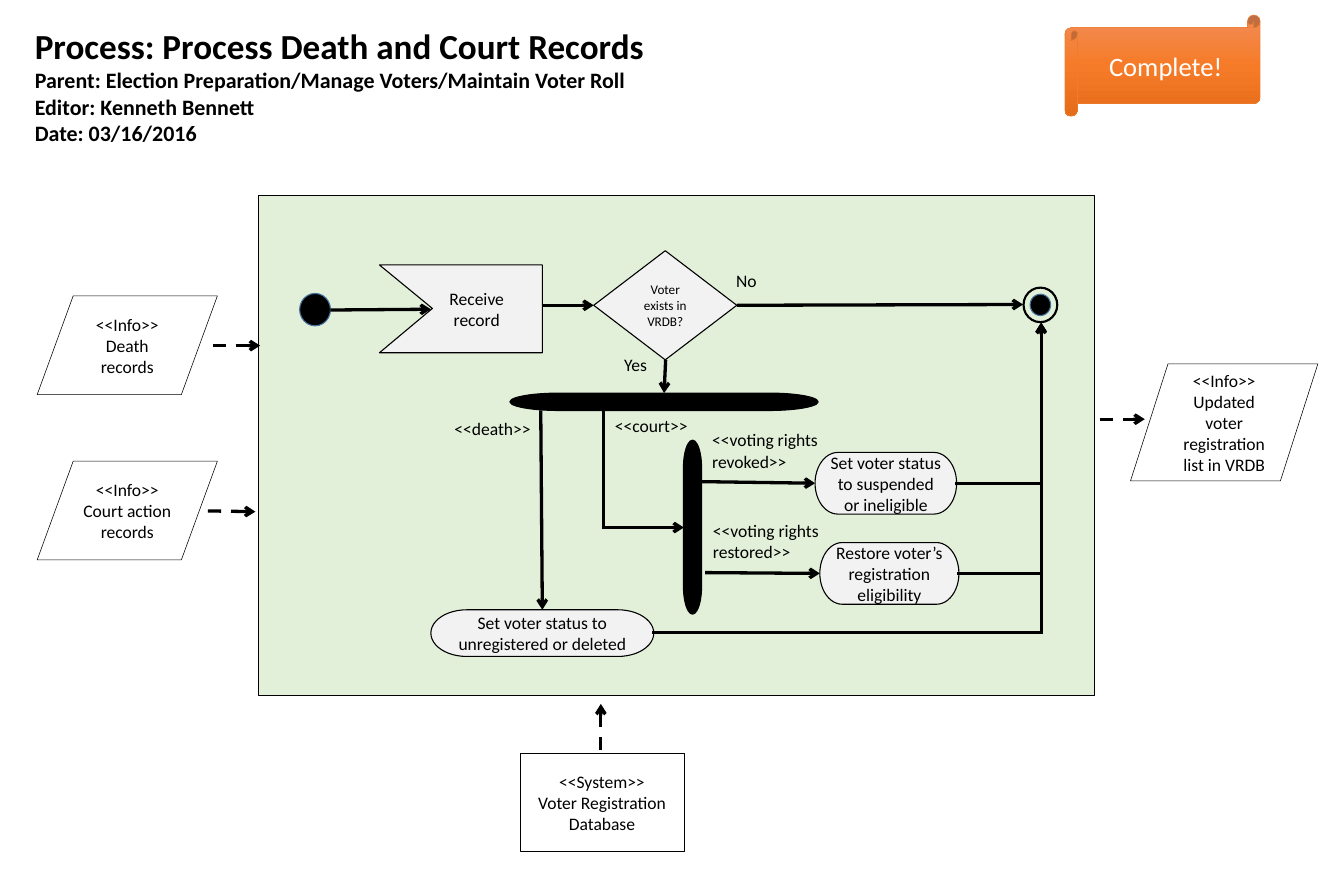
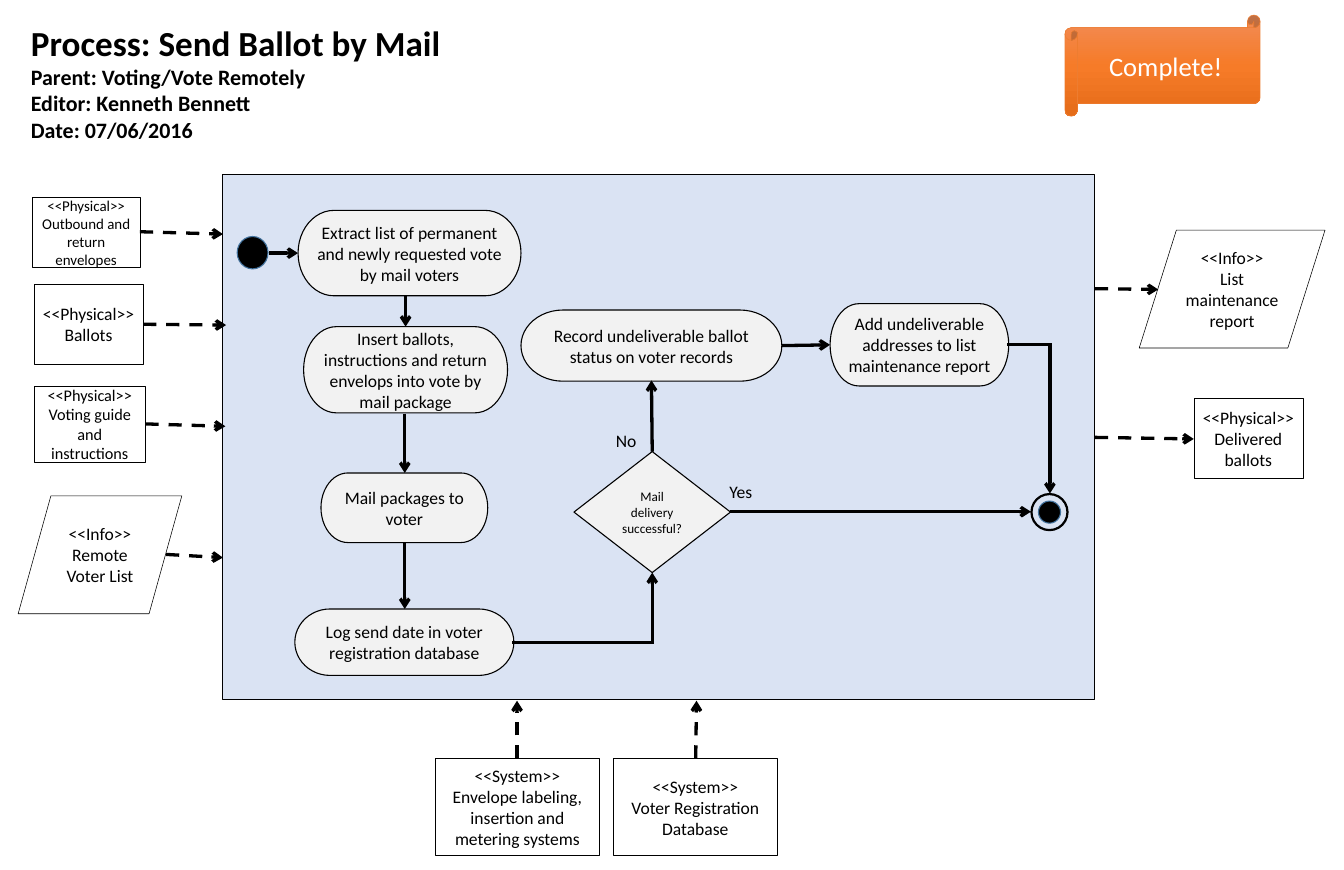
from copy import deepcopy
from dataclasses import dataclass

from lxml.etree import SubElement
from pptx import Presentation
from pptx.dml.color import RGBColor
from pptx.enum.dml import MSO_LINE
from pptx.enum.shapes import MSO_CONNECTOR, MSO_SHAPE
from pptx.enum.text import MSO_ANCHOR, MSO_AUTO_SIZE, PP_ALIGN
from pptx.oxml.ns import qn
from pptx.util import Emu, Pt

PX = 9144  # EMU in one px, 100 px to the inch


@dataclass(frozen=True)
class Theme:
    font: str = "Calibri"
    ink: str = "000000"
    white: str = "FFFFFF"
    step: str = "F2F2F2"
    rim: str = "43739E"
    green: str = "E2F0D9"
    blue: str = "DAE3F3"
    flame: str = "ED7D31"
    fade: tuple = ((0, "F18C57"), (0.5, "F67B28"), (1, "E56C19"))
    head: float = 32
    sub: float = 20
    badge: float = 24.2
    body: float = 16
    small: float = 12
    hair: float = 0.5
    thin: float = 1
    thick: float = 3


T = Theme()

# ---- Content: boxes are (kind, left, top, width, height, text, size) ----
BADGE = ("badge", 1347, 19, 247, 128, "Complete!")

COURT = {
    "title": (34, 26, 966, 165),
    "lines": ["Process: Process Death and Court Records",
              "Parent: Election Preparation/Manage Voters/Maintain Voter Roll",
              "Editor: Kenneth Bennett", "Date: 03/16/2016"],
    "panel": (327, 247, 1057, 632, T.green),
    "boxes": [
        ("info", 47, 374, 228, 125, "<<Info>>\nDeath records"),
        ("info", 47, 583, 228, 125, "<<Info>>\nCourt action records"),
        ("info", 1430, 460, 237, 148,
         "<<Info>>\nUpdated voter registration list in VRDB"),
        ("system", 658, 953, 207, 123,
         "<<System>>\nVoter Registration Database"),
        ("start", 379, 371, 39, 41, ""),
        ("choice", 751, 317, 181, 138, "Voter exists in VRDB?"),
        ("bar", 645, 497, 390, 22, ""),
        ("post", 766, 655, 220, 23, ""),
        ("step", 545, 771, 282, 59,
         "Set voter status to unregistered or deleted"),
        ("step", 1031, 572, 179, 78,
         "Set voter status to suspended or ineligible"),
        ("step", 1037, 686, 176, 78,
         "Restore voter’s registration eligibility"),
    ],
    "signal": (480, 335, 206, 111, 67, "Receive\nrecord"),
    "end": (1294, 363, 44, 45),
    "labels": [
        (770, 442, 68, 37, "Yes", PP_ALIGN.CENTER),
        (910, 337, 68, 37, "No", PP_ALIGN.CENTER),
        (565, 523, 118, 37, "<<death>>", PP_ALIGN.LEFT),
        (768, 520, 118, 37, "<<court>>", PP_ALIGN.LEFT),
        (891, 538, 199, 64, "<<voting rights revoked>>", PP_ALIGN.LEFT),
        (892, 652, 199, 64, "<<voting rights restored>>", PP_ALIGN.LEFT),
    ],
    "flows": [
        [(418, 392), (545, 391)],
        [(686, 386), (751, 386)],
        [(842, 455), (840, 497)],
        [(932, 386), (1294, 385)],
        [(684, 519), (686, 771)],
        [(763, 519), (763, 667), (865, 667)],
        [(888, 609), (1031, 611)],
        [(892, 724), (1037, 725)],
        [(1210, 611), (1317, 611), (1317, 408)],
        [(1213, 725), (1317, 725), (1317, 408)],
        [(827, 800), (1317, 800), (1317, 408)],
    ],
    "links": [
        [(269, 437), (329, 437)],
        [(263, 646), (323, 647)],
        [(1391, 530), (1448, 530)],
        [(760, 948), (760, 890)],
    ],
}

BALLOT = {
    "title": (29, 22, 1300, 165),
    "lines": ["Process: Send Ballot by Mail", "Parent: Voting/Vote Remotely",
              "Editor: Kenneth Bennett", "Date: 07/06/2016"],
    "panel": (282, 221, 1103, 663, T.blue),
    "boxes": [
        ("system", 41, 249, 136, 89,
         "<<Physical>>\nOutbound and return envelopes", 13.6),
        ("system", 43, 359, 138, 102, "<<Physical>>\nBallots"),
        ("system", 43, 488, 141, 96,
         "<<Physical>>\nVoting guide and instructions", 14.8),
        ("info", 23, 627, 207, 149, "<<Info>>\nRemote Voter List"),
        ("info", 1441, 291, 235, 149, "<<Info>>\nList maintenance report"),
        ("system", 1510, 503, 138, 102, "<<Physical>>\nDelivered ballots"),
        ("system", 551, 959, 207, 123,
         "<<System>>\nEnvelope labeling, insertion and metering systems"),
        ("system", 776, 959, 207, 123,
         "<<System>>\nVoter Registration Database"),
        ("start", 300, 299, 39, 41, ""),
        ("step", 377, 266, 282, 108,
         "Extract list of permanent and newly requested vote by mail voters"),
        ("step", 384, 413, 258, 109,
         "Insert ballots, instructions and return envelops into vote by "
         "mail package"),
        ("step", 406, 598, 211, 88, "Mail packages to voter"),
        ("step", 373, 770, 277, 84,
         "Log send date in voter registration database"),
        ("choice", 726, 571, 198, 153, "Mail delivery successful?"),
        ("step", 659, 392, 330, 90,
         "Record undeliverable ballot status on voter records"),
        ("step", 1050, 384, 226, 104,
         "Add undeliverable addresses to list maintenance report"),
    ],
    "signal": None,
    "end": (1304, 624, 47, 47),
    "labels": [
        (903, 603, 68, 37, "Yes", PP_ALIGN.CENTER),
        (758, 539, 68, 37, "No", PP_ALIGN.CENTER),
    ],
    "flows": [
        [(340, 320), (377, 320)],
        [(513, 374), (513, 413)],
        [(512, 523), (512, 598)],
        [(512, 686), (512, 770)],
        [(650, 812), (825, 812), (825, 724)],
        [(825, 571), (824, 481)],
        [(989, 437), (1050, 436)],
        [(1276, 436), (1328, 436), (1328, 624)],
        [(924, 647), (1304, 647)],
    ],
    "links": [
        [(177, 293), (282, 296)],
        [(181, 410), (286, 411)],
        [(184, 536), (285, 539)],
        [(210, 701), (282, 705)],
        [(1385, 365), (1465, 366)],
        [(1385, 553), (1510, 555)],
        [(654, 959), (654, 886)],
        [(880, 959), (881, 886)],
    ],
}

# Kind: preset, fill, line colour, line width, type size, type colour
KINDS = {
    "info": (MSO_SHAPE.FLOWCHART_DATA, None, T.ink, T.hair, T.body, T.ink),
    "system": (MSO_SHAPE.FLOWCHART_PROCESS, None, T.ink, T.hair, T.body, T.ink),
    "start": (MSO_SHAPE.FLOWCHART_CONNECTOR, T.ink, T.rim, T.thin, T.body, T.ink),
    "ring": (MSO_SHAPE.DONUT, T.ink, T.ink, T.thin, T.body, T.ink),
    "choice": (MSO_SHAPE.FLOWCHART_DECISION, T.step, T.ink, T.thin, T.small, T.ink),
    "step": (MSO_SHAPE.FLOWCHART_TERMINATOR, T.step, T.ink, T.thin, T.body, T.ink),
    "bar": (MSO_SHAPE.FLOWCHART_TERMINATOR, T.ink, T.ink, T.thin, T.body, T.ink),
    "post": (MSO_SHAPE.FLOWCHART_TERMINATOR, T.ink, T.ink, T.thin, T.body, T.ink),
    "badge": (MSO_SHAPE.HORIZONTAL_SCROLL, T.flame, T.flame, T.hair, T.badge, T.white),
}


# ---- Helpers ----
def px(*nums):
    return [Emu(round(n * PX)) for n in nums]


def rgb(code):
    return RGBColor.from_string(code)


def write(frame, lines, sizes, color=T.ink, align=PP_ALIGN.CENTER,
          anchor=MSO_ANCHOR.MIDDLE, bold=False):
    frame.word_wrap = True
    frame.auto_size = MSO_AUTO_SIZE.NONE
    frame.vertical_anchor = anchor
    for i, (line, size) in enumerate(zip(lines, sizes)):
        para = frame.add_paragraph() if i else frame.paragraphs[0]
        para.alignment = align
        run = para.add_run()
        run.text = line
        font = run.font
        font.name, font.size, font.bold = T.font, Pt(size), bold
        font.color.rgb = rgb(color)


def paint(shape, fill, line, width):
    shape.shadow.inherit = False
    if fill:
        shape.fill.solid()
        shape.fill.fore_color.rgb = rgb(fill)
    else:
        shape.fill.background()
    shape.line.color.rgb = rgb(line)
    shape.line.width = Pt(width)


def add_box(shapes, kind, x, y, w, h, text="", size=None):
    preset, fill, line, width, base, color = KINDS[kind]
    shape = shapes.add_shape(preset, *px(x, y, w, h))
    paint(shape, fill, line, width)
    if text:
        lines = text.split("\n")
        write(shape.text_frame, lines, [size or base] * len(lines), color)
    if kind == "post":
        shape.rotation = 270
    return shape


def add_badge(shapes):
    shape = add_box(shapes, *BADGE)
    fill = shape.fill
    fill.gradient()
    fill.gradient_angle = 270
    stops = shape._element.spPr.find(".//" + qn("a:gsLst"))
    stops.insert(1, deepcopy(stops[0]))
    for stop, (place, color) in zip(fill.gradient_stops, T.fade):
        stop.position = place
        stop.color.rgb = rgb(color)


def add_signal(shapes, x, y, w, h, notch, text):
    pen = shapes.build_freeform(x, y, scale=float(PX))
    pen.add_line_segments([(x + w, y), (x + w, y + h), (x, y + h),
                           (x + notch, y + h // 2)], close=True)
    shape = pen.convert_to_shape()
    paint(shape, T.step, T.ink, T.thin)
    shape.text_frame.margin_left = px(50)[0]
    lines = text.split("\n")
    write(shape.text_frame, lines, [T.body] * len(lines))


def add_end(shapes, x, y, w, h):
    group = shapes.add_group_shape().shapes
    ring = add_box(group, "ring", x, y, w, h)
    ring.adjustments[0] = 0.03
    dot = round(w * 0.6), round(h * 0.6)
    add_box(group, "start", x + (w - dot[0]) / 2, y + (h - dot[1]) / 2, *dot)


def add_flow(shapes, points, dash=False):
    """Draw one connector per leg, with the arrowhead on the last."""
    for i, (tip, end) in enumerate(zip(points, points[1:]), 2):
        leg = shapes.add_connector(MSO_CONNECTOR.STRAIGHT, *px(*tip, *end))
        leg.line.color.rgb = rgb(T.ink)
        leg.line.width = Pt(T.thick)
        if dash:
            leg.line.dash_style = MSO_LINE.DASH
        props = leg._element.spPr
        edge = props.find(qn("a:ln"))
        if i == len(points):
            SubElement(edge, qn("a:tailEnd"), type="arrow")
        else:
            edge.set("cap", "sq")
        SubElement(props, qn("a:effectLst"))


def add_slide(deck, page):
    slide = deck.slides.add_slide(deck.slide_layouts[5])
    shapes = slide.shapes

    # Title block
    title = shapes.title
    title.left, title.top, title.width, title.height = px(*page["title"])
    write(title.text_frame, page["lines"], [T.head] + [T.sub] * 3,
          align=PP_ALIGN.LEFT, anchor=MSO_ANCHOR.TOP, bold=True)

    # Panel and nodes
    *area, tint = page["panel"]
    panel = shapes.add_shape(MSO_SHAPE.RECTANGLE, *px(*area))
    paint(panel, tint, T.ink, T.thin)
    for box in page["boxes"]:
        add_box(shapes, *box)
    if page["signal"]:
        add_signal(shapes, *page["signal"])
    add_end(shapes, *page["end"])

    # Arrows and their labels
    for points in page["flows"]:
        add_flow(shapes, points)
    for points in page["links"]:
        add_flow(shapes, points, dash=True)
    for x, y, w, h, text, align in page["labels"]:
        label = shapes.add_textbox(*px(x, y, w, h))
        write(label.text_frame, [text], [T.body], align=align,
              anchor=MSO_ANCHOR.TOP)
    add_badge(shapes)


def main():
    deck = Presentation()
    deck.slide_width, deck.slide_height = px(1700, 1100)
    for page in (COURT, BALLOT):
        add_slide(deck, page)
    deck.save("out.pptx")


if __name__ == "__main__":
    main()
